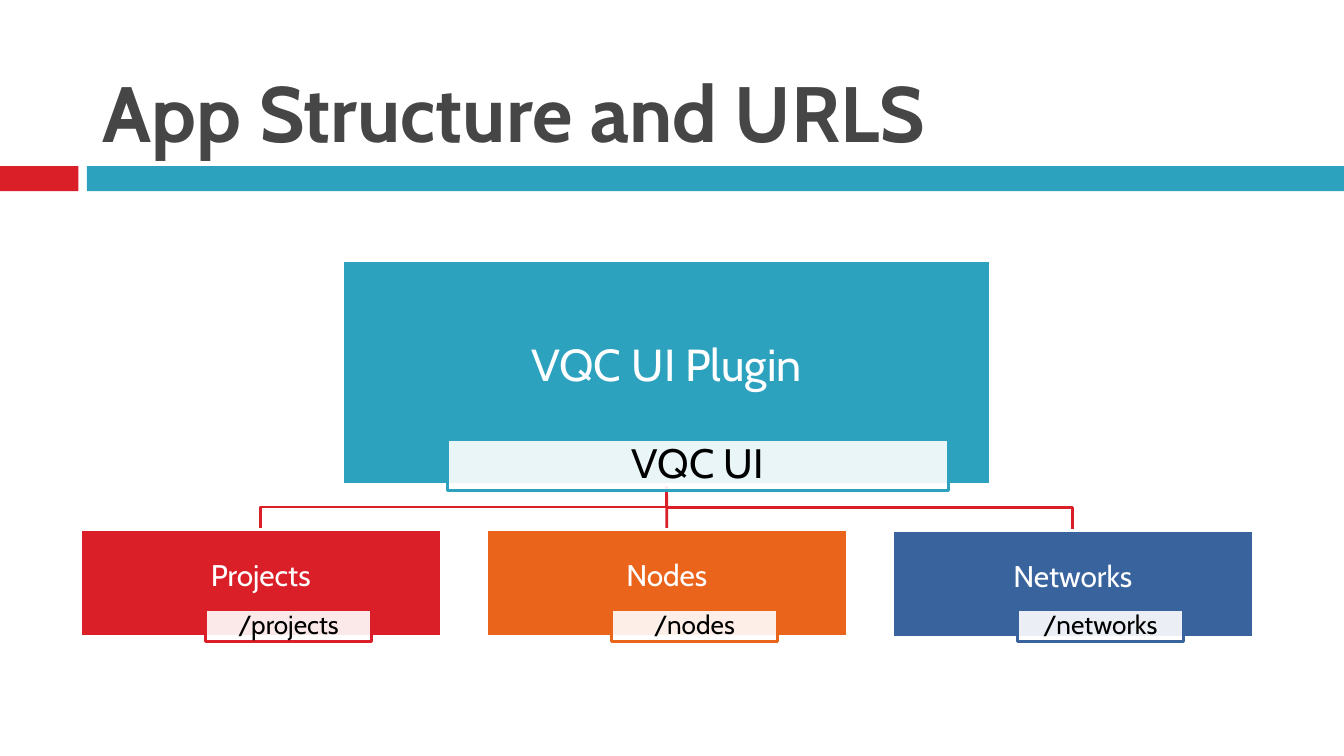
from lxml import etree
from pptx import Presentation
from pptx.dml.color import RGBColor
from pptx.enum.shapes import MSO_SHAPE
from pptx.enum.text import MSO_ANCHOR, PP_ALIGN
from pptx.oxml.ns import qn
from pptx.util import Pt

RECTANGLE = MSO_SHAPE.RECTANGLE
MIDDLE, BOTTOM = MSO_ANCHOR.MIDDLE, MSO_ANCHOR.BOTTOM
LEFT, CENTER = PP_ALIGN.LEFT, PP_ALIGN.CENTER

WHITE = RGBColor(0xFF, 0xFF, 0xFF)
BLACK = RGBColor(0x00, 0x00, 0x00)
GRAY = RGBColor(0x46, 0x46, 0x46)
RED = RGBColor(0xDA, 0x1F, 0x28)
TEAL = RGBColor(0x2D, 0xA2, 0xBF)
ORANGE = RGBColor(0xEB, 0x64, 0x1B)
BLUE = RGBColor(0x39, 0x63, 0x9D)

FONT = "Cabin"
LINE_WIDTH = 1.5
TAG_OPACITY = 90

# Geometry in points
ROOT_BOX = (183.5, 139.5, 347.2, 120.1)
ROOT_TAG = (239.7, 235.4, 268.3, 27.4)
CHILD_LEFT, CHILD_PITCH = 43, 217.5
CHILD_WIDTH, CHILD_HEIGHT = 193.4, 57.1
TAG_OFFSET, TAG_TOP, TAG_WIDTH, TAG_HEIGHT = 66.9, 326.6, 89.2, 17.1

# Name, URL, colour, box top
CHILDREN = [
    ("Projects", "/projects", RED, 283.7),
    ("Nodes", "/nodes", ORANGE, 283.7),
    ("Networks", "/networks", BLUE, 284.3),
]


def set_font(paragraph, size, color, bold=False):
    font = paragraph.font
    font.name, font.size, font.bold = FONT, Pt(size), bold
    font.color.rgb = color


def add_rectangle(slide, bounds, fill, line=None):
    shape = slide.shapes.add_shape(RECTANGLE, *map(Pt, bounds))
    shape.shadow.inherit = False
    shape.fill.solid()
    shape.fill.fore_color.rgb = fill
    if line is None:
        shape.line.fill.background()
    else:
        shape.line.color.rgb = line
        shape.line.width = Pt(LINE_WIDTH)
    return shape


def write_label(shape, text, size, color, side, top, bottom):
    frame = shape.text_frame
    frame.word_wrap = True
    frame.vertical_anchor = MIDDLE
    frame.margin_left = frame.margin_right = Pt(side)
    frame.margin_top, frame.margin_bottom = Pt(top), Pt(bottom)
    paragraph = frame.paragraphs[0]
    paragraph.text = text
    paragraph.alignment = CENTER
    paragraph.line_spacing = 0.9
    set_font(paragraph, size, color)


def add_box(slide, bounds, text, size, fill, inset):
    shape = add_rectangle(slide, bounds, fill, WHITE)
    write_label(shape, text, size, WHITE, inset, inset, 7.2)


def add_tag(slide, bounds, text, size, line, side, inset):
    shape = add_rectangle(slide, bounds, WHITE, line)
    color = shape.fill._xPr.find(qn("a:solidFill"))[0]
    etree.SubElement(color, qn("a:alpha"), val=str(TAG_OPACITY * 1000))
    write_label(shape, text, size, BLACK, side, inset, inset)


def add_branch(slide, points):
    builder = slide.shapes.build_freeform(Pt(points[0][0]), Pt(points[0][1]))
    builder.add_line_segments([(Pt(x), Pt(y)) for x, y in points[1:]], close=False)
    shape = builder.convert_to_shape()
    shape.shadow.inherit = False
    shape.fill.background()
    shape.line.color.rgb = RED
    shape.line.width = Pt(LINE_WIDTH)


def add_title(slide, text):
    title = slide.shapes.title
    title.left, title.top, title.width, title.height = map(Pt, (47.8, 9.4, 642.2, 79.2))
    frame = title.text_frame
    frame.word_wrap = True
    frame.vertical_anchor = BOTTOM
    paragraph = frame.paragraphs[0]
    paragraph.text = text
    paragraph.alignment = LEFT
    set_font(paragraph, 42, GRAY, bold=True)


def main():
    presentation = Presentation()
    presentation.slide_width, presentation.slide_height = Pt(720), Pt(405)
    slide = presentation.slides.add_slide(presentation.slide_layouts[5])

    # Header band and title
    add_rectangle(slide, (0, 89, 42, 13.4), RED)
    add_rectangle(slide, (46.6, 89, 673.4, 13.4), TEAL)
    add_title(slide, "App Structure and URLS")

    # Branches from the root to each child
    root_x = ROOT_BOX[0] + ROOT_BOX[2] / 2
    root_bottom = ROOT_BOX[1] + ROOT_BOX[3]
    lefts = [CHILD_LEFT + index * CHILD_PITCH for index in range(len(CHILDREN))]
    for left, (_, _, _, top) in zip(lefts, CHILDREN):
        child_x = left + CHILD_WIDTH / 2
        points = [(root_x, root_bottom), (child_x, top)]
        if abs(child_x - root_x) > 1:
            middle = (root_bottom + top) / 2
            points[1:1] = [(root_x, middle), (child_x, middle)]
        add_branch(slide, points)

    # Root box with its tag
    add_box(slide, ROOT_BOX, "VQC UI Plugin", 24, TEAL, 1.2)
    add_tag(slide, ROOT_TAG, "VQC UI", 22, TEAL, 4.3, 1.4)

    # Child boxes with their URL tags
    for left, (name, url, color, top) in zip(lefts, CHILDREN):
        add_box(slide, (left, top, CHILD_WIDTH, CHILD_HEIGHT), name, 16, color, 0.8)
        tag = (left + TAG_OFFSET, TAG_TOP, TAG_WIDTH, TAG_HEIGHT)
        add_tag(slide, tag, url, 14, color, 2.9, 0.8)

    presentation.save("out.pptx")


if __name__ == "__main__":
    main()
